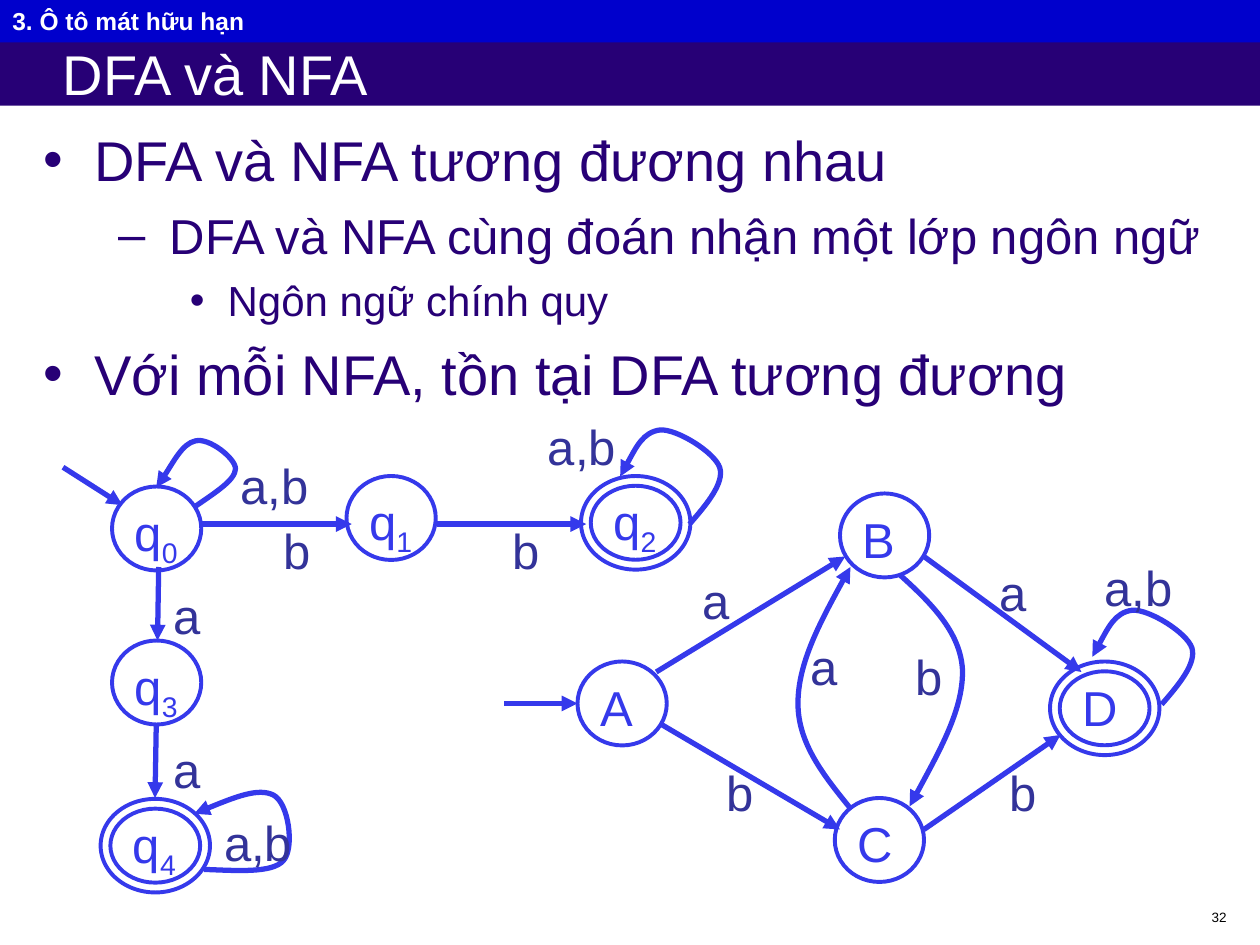
from lxml import etree
from pptx import Presentation
from pptx.dml.color import RGBColor
from pptx.enum.shapes import MSO_CONNECTOR, MSO_SHAPE
from pptx.enum.text import MSO_ANCHOR, PP_ALIGN
from pptx.oxml.ns import qn
from pptx.util import Pt

RECTANGLE, OVAL = MSO_SHAPE.RECTANGLE, MSO_SHAPE.OVAL
STRAIGHT = MSO_CONNECTOR.STRAIGHT
TOP, MIDDLE = MSO_ANCHOR.TOP, MSO_ANCHOR.MIDDLE
LEFT, RIGHT, JUSTIFY = PP_ALIGN.LEFT, PP_ALIGN.RIGHT, PP_ALIGN.JUSTIFY

FONT = "Arial"
WHITE = RGBColor(0xFF, 0xFF, 0xFF)
BLACK = RGBColor(0, 0, 0)
PURPLE = RGBColor(0x27, 0x00, 0x76)
HEADER_BLUE = RGBColor(0x00, 0x00, 0xCC)
STATE_BLUE = RGBColor(0x35, 0x39, 0xEB)
LABEL_BLUE = RGBColor(0x33, 0x33, 0x99)

# Bullet, left margin, hanging indent, space before, text size
LEVELS = [("•", 28.8, 28.8, 8, 32), ("–", 72, 29.5, 7, 28), ("•", 105, 21.6, 6, 24)]
POINTS = [
    (0, "DFA và NFA tương đương nhau"),
    (1, "DFA và NFA cùng đoán nhận một lớp ngôn ngữ"),
    (2, "Ngôn ngữ chính quy"),
    (0, "Với mỗi NFA, tồn tại DFA tương đương"),
]

STATE_SIZE = (51, 48)
FINAL_SIZE = (62.5, 53.5)
FINAL_GAP = 5.6

# Self-loop of a final state, measured from where it leaves the state
FINAL_LOOP = [(0, 0), (10, -11.5), (20, -23.5), (17.3, -32.3), (14.4, -41),
              (-7.2, -54.5), (-16.8, -53.8), (-26.6, -52.5), (-33, -39.5), (-39.6, -27.2)]


def loop_from(x, y):
    return [(x + dx, y + dy) for dx, dy in FINAL_LOOP]


# States: name, subscript, left, top, is final. Labels: text, left, top.
NFA = {
    "states": [("q", "0", 28, 44, False), ("q", "1", 162, 38, False),
               ("q", "2", 296, 38, True), ("q", "3", 28, 132, False),
               ("q", "4", 21.5, 222.5, True)],
    "arrows": [((0, 33), (34, 54.7)), ((79, 65.5), (165, 65.5)),
               ((214, 65.5), (299, 65.5)), ((54.7, 90), (54, 132)),
               ((53.3, 180), (52.6, 222))],
    "curves": [
        [(75.6, 55.4), (87, 47.5), (98.6, 40.3), (98.6, 33.8), (98.6, 28),
         (83.5, 15.8), (75.6, 18), (68.4, 19.4), (57, 40.3), (53.3, 44.6)],
        [(80.6, 262.8), (100, 263.5), (119.5, 265), (126, 257.8), (132.5, 250.6),
         (129, 224.6), (120.2, 220.3), (111.6, 216), (93.6, 223.2), (75, 231)],
        loop_from(358, 65.5)],
    "labels": [("a,b", 94.3, 23), ("b", 119, 60), ("b", 250, 60), ("a,b", 270, 0.7),
               ("a", 56, 97), ("a", 56, 185), ("a,b", 85, 227)],
}
DFA = {
    "states": [("A", "", 42, 96, False), ("B", "", 192, 0, False),
               ("C", "", 189, 174, False), ("D", "", 312, 96, True)],
    "arrows": [((0, 120), (42, 120)), ((87, 102), (195, 36)), ((90, 132), (192, 192)),
               ((240, 192), (318, 138)), ((240, 36), (330, 102))],
    "curves": [
        [(198, 180), (183, 161.5), (168, 143), (168, 120), (168, 97), (183, 69), (198, 42)],
        [(226, 46.3), (243.4, 62), (260.6, 78.7), (262, 100.3), (262.8, 122.6),
         (247, 150.7), (231.8, 178.8)],
        loop_from(375.8, 120.5)],
    "labels": [("a", 106.6, 40.6), ("b", 120, 150), ("a", 168, 78), ("b", 228, 84),
               ("a", 276, 36), ("b", 282, 150), ("a,b", 336, 33)],
}


def style(font, size, color, bold=False):
    font.name, font.size, font.bold = FONT, Pt(size), bold
    font.color.rgb = color


def add_text(slide, box, text, size, color, align=LEFT):
    frame = slide.shapes.add_textbox(*map(Pt, box)).text_frame
    frame.word_wrap = True
    paragraph = frame.paragraphs[0]
    paragraph.text = text
    paragraph.alignment = align
    style(paragraph.font, size, color)
    return paragraph


def add_band(slide, box, text, fill, size, anchor, inset, bold=False):
    band = slide.shapes.add_shape(RECTANGLE, *map(Pt, box))
    band.shadow.inherit = False
    band.fill.solid()
    band.fill.fore_color.rgb = fill
    band.line.fill.background()
    frame = band.text_frame
    frame.text = text
    frame.vertical_anchor = anchor
    frame.margin_left = Pt(inset)
    frame.paragraphs[0].alignment = LEFT
    style(frame.paragraphs[0].font, size, WHITE, bold)


def add_points(slide, box):
    frame = slide.shapes.add_textbox(*map(Pt, box)).text_frame
    frame.word_wrap = True
    for index, (level, text) in enumerate(POINTS):
        bullet, margin, hanging, before, size = LEVELS[level]
        paragraph = frame.add_paragraph() if index else frame.paragraphs[0]
        paragraph.text = text
        paragraph.level = level
        paragraph.alignment = JUSTIFY
        if index:
            paragraph.space_before = Pt(before)
        properties = paragraph._p.get_or_add_pPr()
        properties.set("marL", str(Pt(margin)))
        properties.set("indent", str(-Pt(hanging)))
        bullet_color = etree.SubElement(properties, qn("a:buClr"))
        etree.SubElement(bullet_color, qn("a:srgbClr"), val=str(PURPLE))
        etree.SubElement(properties, qn("a:buFont"), typeface=FONT)
        etree.SubElement(properties, qn("a:buChar"), char=bullet)
        style(paragraph.font, size, PURPLE)


def add_ring(slide, left, top, size):
    ring = slide.shapes.add_shape(OVAL, Pt(left), Pt(top), *map(Pt, size))
    ring.shadow.inherit = False
    ring.fill.background()
    ring.line.color.rgb = STATE_BLUE
    ring.line.width = Pt(2.25)


def add_state(slide, left, top, name, subscript, is_final):
    add_ring(slide, left, top, FINAL_SIZE if is_final else STATE_SIZE)
    if is_final:
        left += FINAL_GAP
        inner_size = [side - 2 * FINAL_GAP for side in FINAL_SIZE]
        add_ring(slide, left, top + FINAL_GAP, inner_size)
    caption = add_text(slide, (left + 5.8, top + 5.4, 51, 44), name, 28, STATE_BLUE)
    if subscript:
        run = caption.add_run()
        run.text = subscript
        run._r.get_or_add_rPr().set("baseline", "-25000")


def style_arrow(arrow):
    arrow.line.color.rgb = STATE_BLUE
    arrow.line.width = Pt(3)
    etree.SubElement(arrow.line._get_or_add_ln(), qn("a:tailEnd"), type="triangle")


def add_arrow(slide, start, end):
    arrow = slide.shapes.add_connector(STRAIGHT, *map(Pt, start + end))
    style_arrow(arrow)
    etree.SubElement(arrow._element.spPr, qn("a:effectLst"))


def add_curve(slide, points):
    """Draw a cubic Bézier arrow: a start, then two controls and an end per piece."""
    start, *rest = [(Pt(x), Pt(y)) for x, y in points]
    builder = slide.shapes.build_freeform(*start)
    builder.add_line_segments(rest, close=False)
    curve = builder.convert_to_shape()
    segments = list(curve._element.iter(qn("a:lnTo")))
    for first in range(0, len(segments), 3):
        piece = etree.Element(qn("a:cubicBezTo"))
        segments[first].addprevious(piece)
        for segment in segments[first:first + 3]:
            piece.append(segment[0])
            segment.getparent().remove(segment)
    curve.fill.background()
    style_arrow(curve)
    curve.shadow.inherit = False


def add_automaton(slide, left, top, automaton):
    def place(point):
        return left + point[0], top + point[1]

    for name, subscript, x, y, is_final in automaton["states"]:
        add_state(slide, *place((x, y)), name, subscript, is_final)
    for start, end in automaton["arrows"]:
        add_arrow(slide, place(start), place(end))
    for points in automaton["curves"]:
        add_curve(slide, [place(point) for point in points])
    for text, x, y in automaton["labels"]:
        width = 57 if len(text) > 1 else 24
        add_text(slide, (*place((x, y)), width, 41), text, 28, LABEL_BLUE)


def main():
    deck = Presentation()
    deck.slide_width, deck.slide_height = Pt(720), Pt(540)
    slide = deck.slides.add_slide(deck.slide_layouts[6])
    add_text(slide, (558, 516, 150, 17.5), "32", 7.7, BLACK, RIGHT)
    add_band(slide, (0, 23, 720, 37.4), "DFA và NFA", PURPLE, 32, MIDDLE, 36)
    add_points(slide, (18, 68.4, 687, 180))
    add_band(slide, (0, 0, 720, 24.2), "3. Ô tô mát hữu hạn", HEADER_BLUE, 14, TOP, 7.2, bold=True)
    add_automaton(slide, 36, 234, NFA)
    add_automaton(slide, 288, 282, DFA)
    deck.save("out.pptx")


if __name__ == "__main__":
    main()
